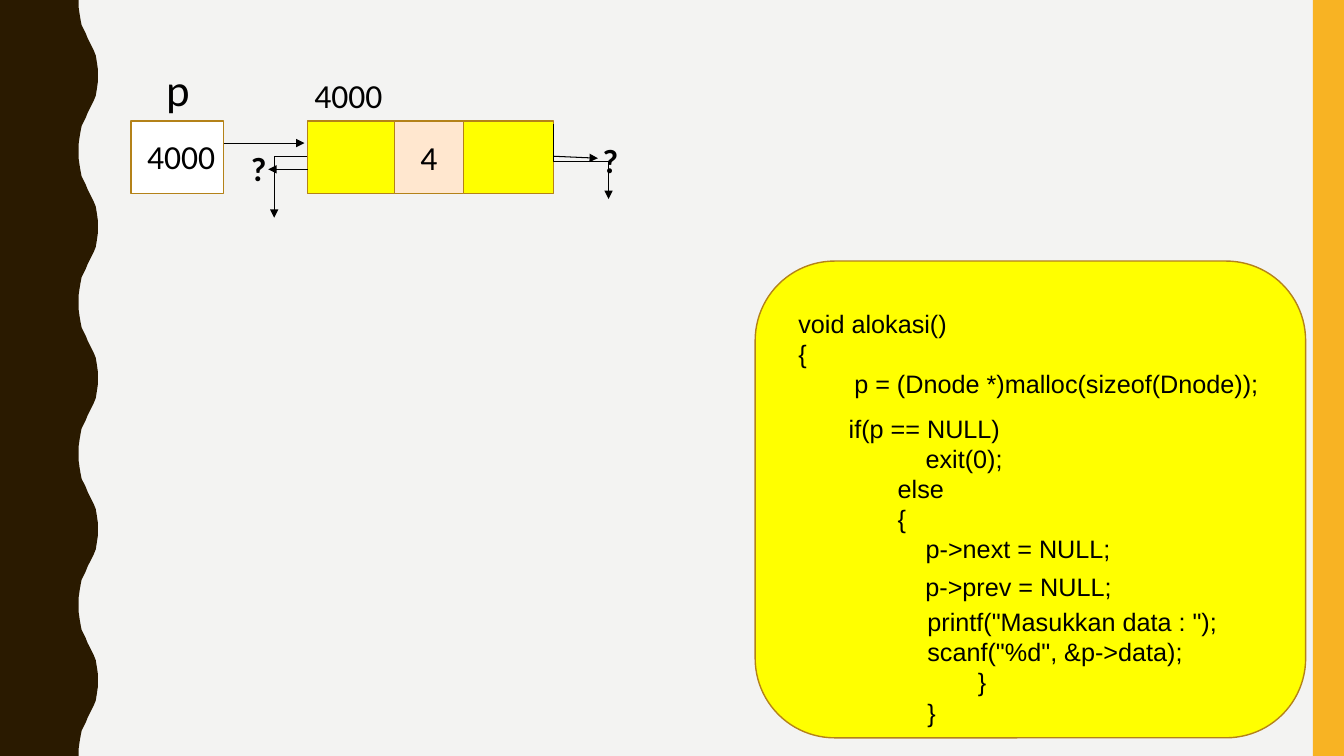
from lxml import etree
from pptx import Presentation
from pptx.dml.color import RGBColor
from pptx.enum.shapes import MSO_CONNECTOR, MSO_SHAPE
from pptx.enum.text import MSO_ANCHOR, PP_ALIGN
from pptx.oxml.ns import qn
from pptx.util import Inches, Pt

BACKGROUND = RGBColor(0xF3, 0xF3, 0xF2)
BROWN = RGBColor(0x2A, 0x1A, 0x00)
ORANGE = RGBColor(0xF8, 0xB3, 0x23)
YELLOW = RGBColor(0xFF, 0xFF, 0x00)
PEACH = RGBColor(0xFF, 0xE7, 0xCF)
OUTLINE = RGBColor(0xB4, 0x82, 0x19)
WHITE = RGBColor(0xFF, 0xFF, 0xFF)
BLACK = RGBColor(0x00, 0x00, 0x00)

prs = Presentation()
prs.slide_width, prs.slide_height = Inches(13.33), Inches(7.5)
s = prs.slides.add_slide(prs.slide_layouts[6])
s.background.fill.solid()
s.background.fill.fore_color.rgb = BACKGROUND


def style_shape(sp, fill, line=None):
    sp.shadow.inherit = False
    sp.fill.solid()
    sp.fill.fore_color.rgb = fill
    if line is None:
        sp.line.fill.background()
    else:
        sp.line.color.rgb = line
        sp.line.width = Pt(1)


def write_lines(tf, lines, spacing=None, **font):
    tf.word_wrap = True
    for i, line in enumerate(lines):
        p = tf.paragraphs[0] if i == 0 else tf.add_paragraph()
        p.line_spacing = spacing
        r = p.add_run()
        r.text = line
        r.font.color.rgb = BLACK
        for name, value in font.items():
            setattr(r.font, name, value)


# Wavy band on the left: half a wave, mirrored, repeated five times
half = [(0.78, 0), (0.78, 0.07), (0.79, 0.14), (0.8, 0.2), (0.81, 0.25),
        (0.83, 0.29), (0.85, 0.33), (0.87, 0.38), (0.89, 0.42), (0.91, 0.46),
        (0.93, 0.5), (0.95, 0.55), (0.96, 0.61), (0.97, 0.68), (0.97, 0.75)]
period = 1.5
wave = half + [(x, period - y) for x, y in reversed(half[:-1])]
edge = [(x, y + n * period) for n in range(5) for x, y in wave]
builder = s.shapes.build_freeform(0, 0)
builder.add_line_segments([(Inches(x), Inches(y)) for x, y in edge + [(0, 7.5)]])
style_shape(builder.convert_to_shape(), BROWN)

# Right band, list node, pointer cell and code panel
boxes = [
    (MSO_SHAPE.RECTANGLE, 13.02, 0, 0.31, 7.5, ORANGE, None, ""),
    (MSO_SHAPE.RECTANGLE, 3.05, 1.2, 2.44, 0.72, YELLOW, OUTLINE, ""),
    (MSO_SHAPE.RECTANGLE, 3.91, 1.2, 0.69, 0.72, PEACH, OUTLINE, "4"),
    (MSO_SHAPE.RECTANGLE, 1.3, 1.2, 0.92, 0.72, WHITE, OUTLINE, ""),
    (MSO_SHAPE.ROUNDED_RECTANGLE, 7.49, 2.59, 5.46, 4.73, YELLOW, OUTLINE, ""),
]
for kind, x, y, w, h, fill, line, text in boxes:
    sp = s.shapes.add_shape(kind, Inches(x), Inches(y), Inches(w), Inches(h))
    style_shape(sp, fill, line)
    if text:
        write_lines(sp.text_frame, [text], size=Pt(24), name="Calibri")
        sp.text_frame.vertical_anchor = MSO_ANCHOR.MIDDLE
        sp.text_frame.paragraphs[0].alignment = PP_ALIGN.CENTER

# Labels
labels = [
    ("4000", 3.02, 0.69, 1.01, 0.5, 24, False),
    ("p", 1.55, 0.56, 0.43, 0.64, 32, False),
    ("4000", 1.36, 1.3, 1.01, 0.5, 24, False),
    ("?", 5.88, 1.34, 0.33, 0.5, 24, True),
    ("?", 2.39, 1.42, 0.33, 0.5, 24, True),
]
for text, x, y, w, h, size, bold in labels:
    sp = s.shapes.add_textbox(Inches(x), Inches(y), Inches(w), Inches(h))
    write_lines(sp.text_frame, [text], size=Pt(size), name="Calibri", bold=bold)

# Code
code = [
    (7.82, 3.01, 4.8, 1.62, ["void alokasi()", "{",
                             "        p = (Dnode *)malloc(sizeof(Dnode));"]),
    (8.25, 4.05, 2.89, 2.89, [" if(p == NULL)", "            exit(0);",
                              "        else", "        {",
                              "            p->next = NULL;"]),
    (9.08, 5.62, 2.07, 0.71, ["p->prev = NULL;"]),
    (9.1, 5.97, 3.1, 1.62, ['printf("Masukkan data : ");',
                            'scanf("%d", &p->data);', "\t}", "}"]),
]
for x, y, w, h, lines in code:
    sp = s.shapes.add_textbox(Inches(x), Inches(y), Inches(w), Inches(h))
    write_lines(sp.text_frame, lines, Pt(21.5), size=Pt(18), name="Arial")

# Arrows: preset, start, end, rotation in degrees
arrows = [
    ("line", 5.49, 1.55, 5.93, 1.57, 0),
    ("line", 3.05, 1.68, 2.66, 1.68, 0),
    ("line", 2.22, 1.42, 3.02, 1.42, 0),
    ("bentConnector3", 6.13, 1.33, 5.39, 1.88, 270),
    ("bentConnector2", 3.05, 1.55, 2.72, 2.16, 0),
]
for preset, x1, y1, x2, y2, turn in arrows:
    kind = MSO_CONNECTOR.STRAIGHT if preset == "line" else MSO_CONNECTOR.ELBOW
    c = s.shapes.add_connector(kind, Inches(x1), Inches(y1), Inches(x2), Inches(y2))
    c.line.color.rgb = BLACK
    c.line.width = Pt(0.75)
    spPr = c._element.spPr
    spPr.find(qn("a:prstGeom")).set("prst", preset)
    if turn:
        spPr.find(qn("a:xfrm")).set("rot", str(turn * 60000))
    etree.SubElement(spPr.find(qn("a:ln")), qn("a:tailEnd"), type="triangle")
    etree.SubElement(spPr, qn("a:effectLst"))

prs.save("out.pptx")
